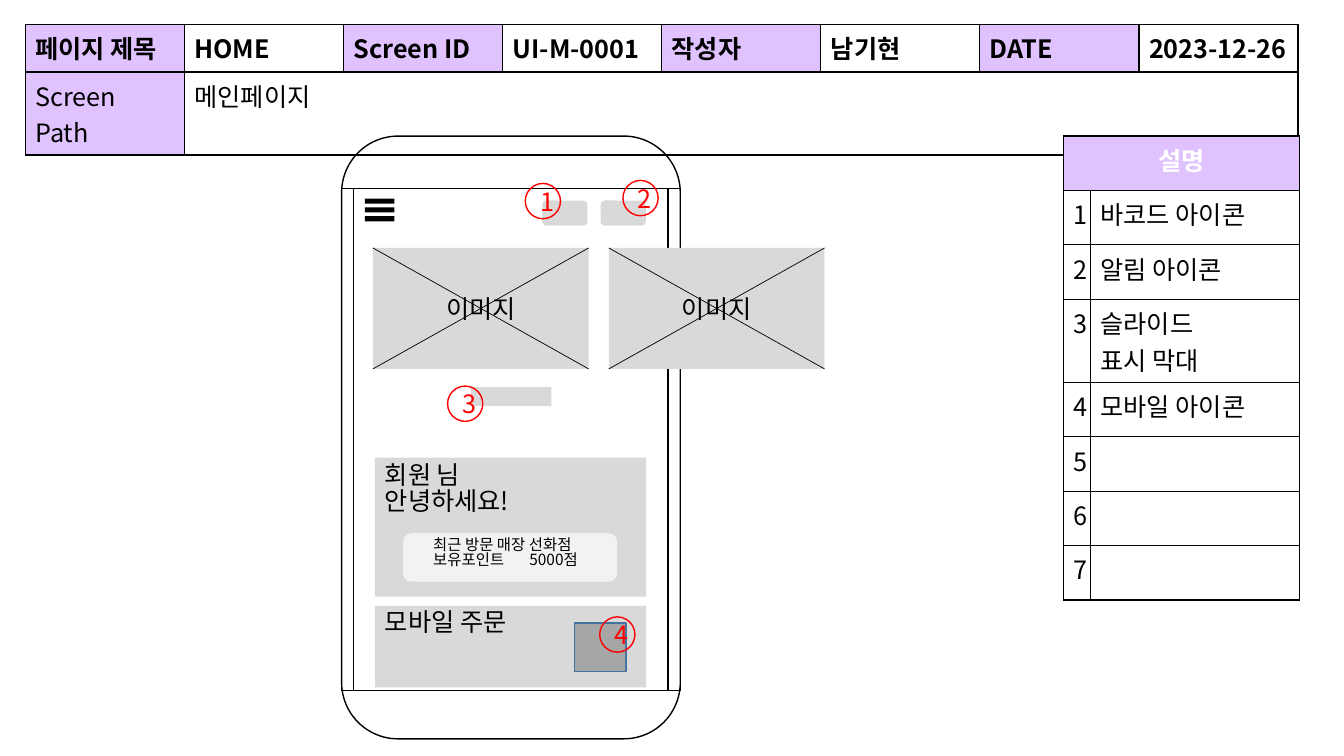
from lxml.etree import SubElement
from pptx import Presentation
from pptx.dml.color import RGBColor
from pptx.enum.shapes import MSO_CONNECTOR, MSO_SHAPE
from pptx.enum.text import MSO_ANCHOR, PP_ALIGN
from pptx.oxml import parse_xml
from pptx.oxml.ns import nsdecls, qn
from pptx.util import Inches, Pt

FONT = "Noto Sans CJK KR"
BLACK = RGBColor(0x00, 0x00, 0x00)
WHITE = RGBColor(0xFF, 0xFF, 0xFF)
LILAC = RGBColor(0xE0, 0xC2, 0xFE)
RED = RGBColor(0xFF, 0x00, 0x00)
GREY = RGBColor(0xD9, 0xD9, 0xD9)
PALE_GREY = RGBColor(0xF2, 0xF2, 0xF2)
DARK_GREY = RGBColor(0xA6, 0xA6, 0xA6)
STEEL = RGBColor(0x43, 0x73, 0x9E)

RECT = MSO_SHAPE.RECTANGLE
ROUND = MSO_SHAPE.ROUNDED_RECTANGLE


class Wireframe:
    """Draws on one page; every length is a percentage of the slide's size."""

    def __init__(self, deck):
        self.width, self.height = deck.slide_width, deck.slide_height
        self.shapes = deck.slides.add_slide(deck.slide_layouts[6]).shapes

    def across(self, share):
        return round(self.width * share / 100)

    def down(self, share):
        return round(self.height * share / 100)

    def place(self, left, top, width, height):
        return self.across(left), self.down(top), self.across(width), self.down(height)

    def set_text(self, frame, text, size=18, color=BLACK, bold=False,
                 align=PP_ALIGN.LEFT, spacing=None, tab=None):
        frame.text = text
        for para in frame.paragraphs:
            para.alignment = align
            if spacing:
                para.line_spacing = spacing
            if tab:
                stops = SubElement(para._p.get_or_add_pPr(), qn("a:tabLst"))
                SubElement(stops, qn("a:tab"), pos=str(self.across(tab)), algn="l")
            font = para.font
            font.name, font.size, font.bold = FONT, Pt(size), bold
            font.color.rgb = color
            SubElement(para._p.pPr.find(qn("a:defRPr")), qn("a:ea"), typeface=FONT)

    def shape(self, kind, area, fill=None, line=None, text="", color=BLACK):
        shape = self.shapes.add_shape(kind, *self.place(*area))
        shape.shadow.inherit = False
        if fill is None:
            shape.fill.background()
        else:
            shape.fill.solid()
            shape.fill.fore_color.rgb = fill
        if line is None:
            shape.line.fill.background()
        else:
            shape.line.color.rgb = line
            shape.line.width = Pt(1)
        if text:
            shape.text_frame.vertical_anchor = MSO_ANCHOR.MIDDLE
            self.set_text(shape.text_frame, text, color=color, align=PP_ALIGN.CENTER)

    def label(self, area, text, **style):
        box = self.shapes.add_textbox(*self.place(*area))
        box.text_frame.word_wrap = True
        self.set_text(box.text_frame, text, **style)

    def line(self, left, top, right, bottom):
        line = self.shapes.add_connector(
            MSO_CONNECTOR.STRAIGHT, self.across(left), self.down(top),
            self.across(right), self.down(bottom))
        line.line.color.rgb = BLACK
        line.line.width = Pt(0.5)
        SubElement(line._element.spPr, qn("a:effectLst"))

    def image_slot(self, left, top, width, height):
        self.shape(RECT, (left, top, width, height), GREY, text="이미지")
        self.line(left, top, left + width, top + height)
        self.line(left, top + height, left + width, top)

    def badge(self, number, left, top):
        self.shape(MSO_SHAPE.OVAL, (left, top, 2.62, 4.67), line=RED,
                   text=str(number), color=RED)

    def table(self, left, top, columns, row_height, row_count):
        area = self.place(left, top, sum(columns), row_height * row_count)
        table = self.shapes.add_table(row_count, len(columns), *area).table
        table.first_row = table.horz_banding = False
        for column, share in zip(table.columns, columns):
            column.width = self.across(share)
        for row in table.rows:
            row.height = self.down(row_height)
        return table

    def cell(self, cell, text, fill=None, **style):
        if fill is None:
            cell.fill.background()
        else:
            cell.fill.solid()
            cell.fill.fore_color.rgb = fill
        for order, side in enumerate("LRTB"):
            cell._tc.tcPr.insert(order, parse_xml(
                f'<a:ln{side} {nsdecls("a")} w="12700"><a:solidFill>'
                f'<a:srgbClr val="{BLACK}"/></a:solidFill></a:ln{side}>'))
        self.set_text(cell.text_frame, text, **style)


def draw_header(page):
    titles = ["페이지 제목", "HOME", "Screen ID", "UI-M-0001",
              "작성자", "남기현", "DATE", "2023-12-26"]
    paths = ["Screen Path", "메인페이지"] + [""] * 6
    table = page.table(1.88, 3.2, [11.84] * 8, 6.33, 2)
    table.cell(1, 1).merge(table.cell(1, 7))
    for column, (title, path) in enumerate(zip(titles, paths)):
        page.cell(table.cell(0, column), title,
                  LILAC if column % 2 == 0 else None, bold=True)
        page.cell(table.cell(1, column), path, LILAC if column == 0 else None)


def draw_descriptions(page):
    notes = ["바코드 아이콘", "알림 아이콘", "슬라이드\n표시 막대", "모바일 아이콘", "", "", ""]
    table = page.table(79.12, 18, [2.02, 15.53], 7.2, len(notes) + 1)
    table.cell(0, 0).merge(table.cell(0, 1))
    for column, heading in enumerate(["설명", ""]):
        page.cell(table.cell(0, column), heading, LILAC, color=WHITE, bold=True,
                  align=PP_ALIGN.CENTER)
    for number, note in enumerate(notes, 1):
        page.cell(table.cell(number, 0), str(number), align=PP_ALIGN.CENTER)
        page.cell(table.cell(number, 1), note)


def draw_phone(page):
    page.shape(ROUND, (25.42, 18, 25.2, 79.73), line=BLACK)
    page.shape(RECT, (25.42, 24.93, 25.2, 66.4), line=BLACK)
    page.shape(RECT, (26.32, 24.93, 23.4, 66.4), WHITE, BLACK)
    for left in (40.35, 44.7):
        page.shape(ROUND, (left, 26.53, 3.35, 3.33), GREY)
    for bar in range(3):
        page.shape(RECT, (27.15, 26.27 + bar * 1.17, 2.2, 0.67), BLACK)
    page.badge(1, 39.08, 24.27)
    page.badge(2, 46.35, 23.87)
    for left in (27.75, 45.3):
        page.image_slot(left, 32.8, 16.05, 16)
    page.shape(RECT, (35.03, 51.2, 6, 2.53), GREY)
    page.badge(3, 33.3, 51.07)


def draw_cards(page):
    page.shape(RECT, (27.9, 60.53, 20.18, 18.4), GREY)
    page.label((27.9, 60.67, 11.93, 9.47), "회원 님\n안녕하세요!", spacing=0.86)
    page.shape(ROUND, (30, 70.53, 15.9, 6.4), PALE_GREY)
    page.label((31.5, 70.53, 13.12, 6.27), "최근 방문 매장 선화점\n보유포인트\t5000점",
               size=11, spacing=0.82, tab=7.15)
    page.shape(RECT, (27.9, 80.13, 20.18, 10.8), GREY)
    page.label((27.9, 80.13, 11.62, 5.33), "모바일 주문", spacing=0.86)
    page.shape(RECT, (42.75, 82.4, 3.83, 6.4), DARK_GREY, STEEL)
    page.badge(4, 44.62, 81.6)


def main():
    deck = Presentation()
    deck.slide_width, deck.slide_height = Inches(13.33), Inches(7.5)
    page = Wireframe(deck)
    draw_header(page)
    draw_descriptions(page)
    draw_phone(page)
    draw_cards(page)
    deck.save("out.pptx")


if __name__ == "__main__":
    main()
